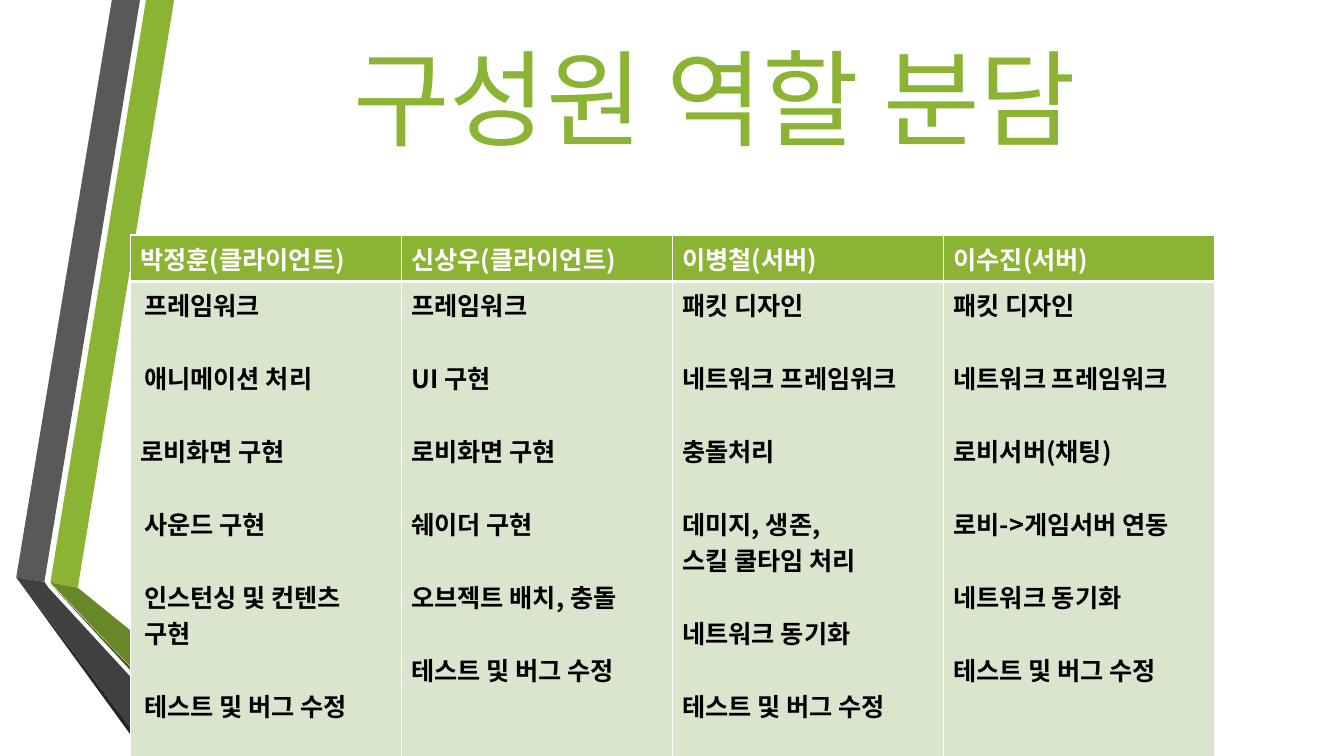
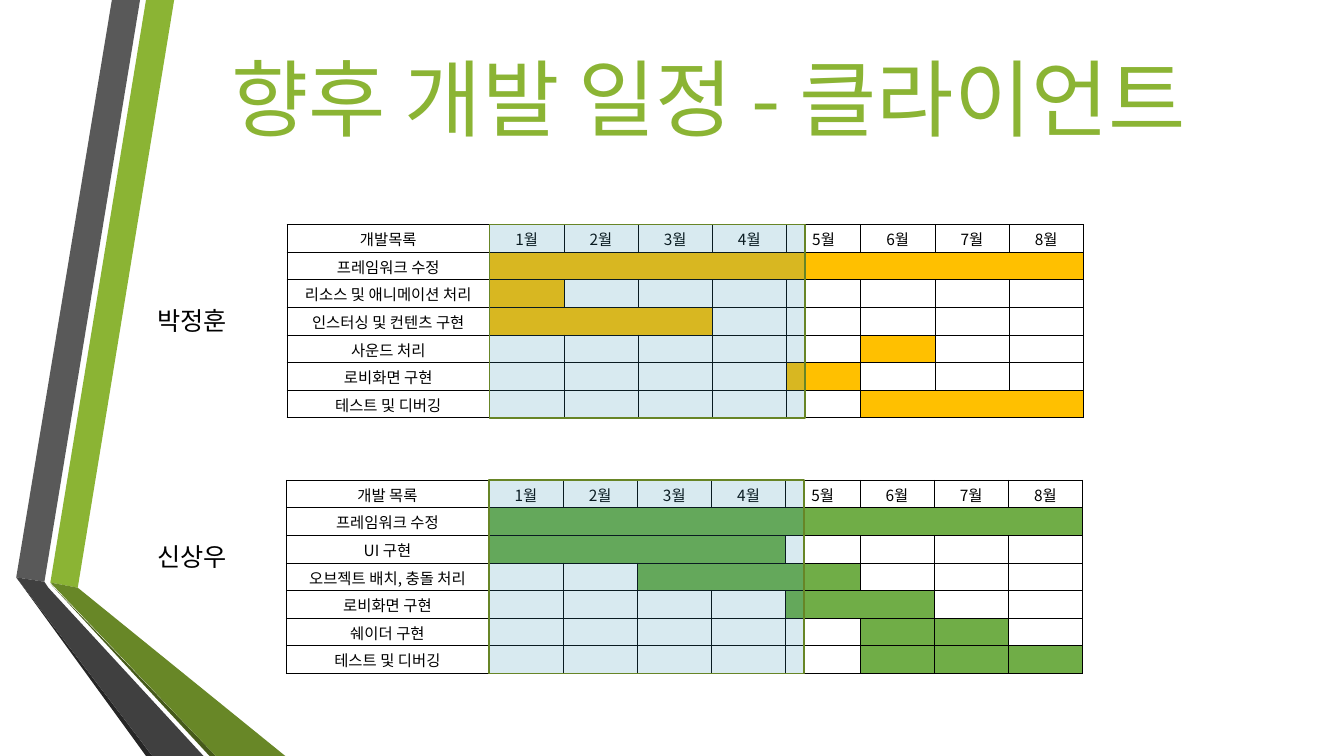
"""Build two slides: team roles and the client development schedule."""
import dataclasses

import lxml.etree
import pptx
import pptx.dml.color
import pptx.enum.shapes
import pptx.enum.text
import pptx.oxml.ns
import pptx.util

Cm = pptx.util.Cm
Pt = pptx.util.Pt
RGB = pptx.dml.color.RGBColor.from_string
qn = pptx.oxml.ns.qn
ALIGN = pptx.enum.text.PP_ALIGN
MIDDLE = pptx.enum.text.MSO_ANCHOR.MIDDLE


@dataclasses.dataclass(frozen=True)
class Theme:
    face: str = "Noto Sans CJK KR"
    label_face: str = "Calibri"
    green: str = "8BB434"
    pale_green: str = "DAE5CE"
    olive: str = "688727"
    dark_olive: str = "465A1A"
    gray: str = "595959"
    charcoal: str = "404040"
    near_black: str = "262626"
    black: str = "000000"
    white: str = "FFFFFF"
    amber_bar: str = "FFC000"
    green_bar: str = "70AD47"
    period_fill: str = "3594B4"
    period_line: str = "678526"
    body_size: int = 18
    grid_size: int = 11
    roles_title_size: int = 75
    schedule_title_size: int = 60
    item_gap: int = 26


theme = Theme()


def write(para, text, *, size, color=theme.black, face=theme.face, bold=False,
          align=ALIGN.LEFT, gap=0, indent=0):
    para.alignment = align
    para.space_before = Pt(gap)
    if indent:
        para._p.get_or_add_pPr().set("marL", str(Cm(indent)))
    if not text:
        lxml.etree.SubElement(para._p, qn("a:endParaRPr"), sz=str(size * 100))
        return
    for number, line in enumerate(text.split("\n")):
        if number:
            para.add_line_break()
        span = para.add_run()
        span.text = line
        span.font.size = Pt(size)
        span.font.bold = bold
        span.font.color.rgb = RGB(color)
        span.font.name = face
        lxml.etree.SubElement(span.font._element, qn("a:ea"), typeface=theme.face)


def paint_cell(cell, fill, line, left=1, right=1, top=1, bottom=1):
    properties = cell._tc.get_or_add_tcPr()
    for side, width in zip("LRTB", (left, right, top, bottom)):
        border = lxml.etree.SubElement(properties, qn(f"a:ln{side}"), w=str(Pt(width)))
        solid = lxml.etree.SubElement(border, qn("a:solidFill"))
        lxml.etree.SubElement(solid, qn("a:srgbClr"), val=line)
    cell.fill.solid()
    cell.fill.fore_color.rgb = RGB(fill)


deck = pptx.Presentation()
deck.slide_width = Cm(33.87)
deck.slide_height = Cm(19.05)
layout = deck.slide_layouts[5]
for placeholder in list(layout.placeholders)[1:]:
    placeholder.element.getparent().remove(placeholder.element)

titles = [
    ("구성원 역할 분담", theme.roles_title_size, 4.09, 27.84),
    ("향후 개발 일정 - 클라이언트", theme.schedule_title_size, 3.71, 28.3),
]
pages = []
for text, size, left, width in titles:
    page = deck.slides.add_slide(layout)
    title = page.shapes.title
    title.left, title.top, title.width, title.height = Cm(left), Cm(0), Cm(width), Cm(4.88)
    title.text_frame.word_wrap = True
    title.text_frame.auto_size = pptx.enum.text.MSO_AUTO_SIZE.NONE
    title.text_frame.vertical_anchor = MIDDLE
    write(title.text_frame.paragraphs[0], text, size=size, color=theme.green, align=ALIGN.CENTER)
    pages.append(page)
roles_page, schedule_page = pages

ribbons = [
    (theme.green, [(1.27, 14.68), (1.96, 14.81), (4.39, 0), (3.68, 0)]),
    (theme.gray, [(3.53, 0), (2.82, 0), (0.41, 14.55), (1.12, 14.66)]),
    (theme.near_black, [(0.41, 14.55), (3.68, 19.05), (3.84, 19.05)]),
    (theme.dark_olive, [(1.27, 14.71), (5.28, 19.05), (5.44, 19.05)]),
    (theme.olive, [(1.27, 14.68), (5.44, 19.05), (7.19, 19.05), (1.96, 14.81)]),
    (theme.charcoal, [(5.13, 19.05), (1.22, 14.81), (1.12, 14.66), (0.41, 14.55), (3.84, 19.05)]),
]
ribbon_shapes = []
for color, corners in ribbons:
    points = [(Cm(x), Cm(y)) for x, y in corners]
    outline = roles_page.shapes.build_freeform(*points[0])
    outline.add_line_segments(points[1:], close=True)
    ribbon = outline.convert_to_shape()
    ribbon.shadow.inherit = False
    ribbon.fill.solid()
    ribbon.fill.fore_color.rgb = RGB(color)
    ribbon.line.fill.background()
    ribbon_shapes.append(ribbon)
for ribbon in ribbon_shapes:
    layout.shapes.element.append(ribbon.element)

last_task = "테스트 및 버그 수정"
members = [
    ("박정훈(클라이언트)", ["프레임워크", "애니메이션 처리", "로비화면 구현", "사운드 구현",
                   "인스턴싱 및 컨텐츠 구현", last_task]),
    ("신상우(클라이언트)", ["프레임워크", "UI 구현", "로비화면 구현", "쉐이더 구현",
                   "오브젝트 배치, 충돌", last_task]),
    ("이병철(서버)", ["패킷 디자인", "네트워크 프레임워크", "충돌처리",
                "데미지, 생존,\n스킬 쿨타임 처리", "네트워크 동기화", last_task]),
    ("이수진(서버)", ["패킷 디자인", "네트워크 프레임워크", "로비서버(채팅)",
                "로비->게임서버 연동", "네트워크 동기화", last_task]),
]
header_height, body_height = 1.17, 11.98
roles = roles_page.shapes.add_table(
    2, len(members), Cm(3.28), Cm(5.92), Cm(27.33), Cm(header_height + body_height)).table
roles.first_row = roles.horz_banding = False
roles.rows[0].height = Cm(header_height)
roles.rows[1].height = Cm(body_height)
for column, (member, tasks) in enumerate(members):
    header, body = roles.cell(0, column), roles.cell(1, column)
    paint_cell(header, theme.green, theme.white, bottom=3)
    paint_cell(body, theme.pale_green, theme.white, top=3)
    write(header.text_frame.paragraphs[0], member, size=theme.body_size,
          color=theme.white, bold=True)
    for number, task in enumerate(tasks):
        frame = body.text_frame
        para = frame.add_paragraph() if number else frame.paragraphs[0]
        write(para, task, size=theme.body_size, bold=True,
              gap=theme.item_gap if number else 0,
              indent=0.1 if column == 0 and number != 2 else 0)

schedules = [
    ("박정훈", 7.57, 7.23, 5.66, theme.amber_bar, "개발목록", [
        ("프레임워크 수정", [(1, 8)]),
        ("리소스 및 애니메이션 처리", [(1, 1)]),
        ("인스터싱 및 컨텐츠 구현", [(1, 3)]),
        ("사운드 처리", [(6, 6)]),
        ("로비화면 구현", [(5, 5)]),
        ("테스트 및 디버깅", [(6, 8)]),
    ]),
    ("신상우", 13.51, 7.21, 12.1, theme.green_bar, "개발 목록", [
        ("프레임워크 수정", [(1, 8)]),
        ("UI 구현", [(1, 4)]),
        ("오브젝트 배치, 충돌 처리", [(3, 5)]),
        ("로비화면 구현", [(5, 6)]),
        ("쉐이더 구현", [(6, 6), (7, 7)]),
        ("테스트 및 디버깅", [(6, 6), (7, 7), (8, 8)]),
    ]),
]
months = [f"{month}월" for month in range(1, 9)]
task_width, month_width, grid_height = 5.11, 1.87, 4.87
for member, label_top, left, top, bar_color, heading, tasks in schedules:
    grid = schedule_page.shapes.add_table(
        len(tasks) + 1, len(months) + 1, Cm(left), Cm(top),
        Cm(task_width + month_width * len(months)), Cm(grid_height)).table
    grid.first_row = grid.horz_banding = False
    for row in grid.rows:
        row.height = Cm(grid_height / len(grid.rows))
    for number, column in enumerate(grid.columns):
        column.width = Cm(month_width if number else task_width)
    lines = [[heading] + months] + [[task] + [""] * len(months) for task, bars in tasks]
    for row, texts in enumerate(lines):
        for column, text in enumerate(texts):
            cell = grid.cell(row, column)
            cell.margin_left = cell.margin_right = cell.margin_top = Cm(0.03)
            cell.margin_bottom = Cm(0)
            cell.vertical_anchor = MIDDLE
            bars = tasks[row - 1][1] if row else []
            in_bar = any(first <= column <= last for first, last in bars)
            paint_cell(cell, bar_color if in_bar else theme.white, theme.black,
                       left=0.5, right=0.5, top=0.5, bottom=0.5)
            write(cell.text_frame.paragraphs[0], text, size=theme.grid_size, align=ALIGN.CENTER)
    for row, (task, bars) in enumerate(tasks, 1):
        for first, last in bars:
            if last > first:
                grid.cell(row, first).merge(grid.cell(row, last))

    period = schedule_page.shapes.add_shape(
        pptx.enum.shapes.MSO_SHAPE.RECTANGLE,
        Cm(left + task_width), Cm(top), Cm(7.95), Cm(grid_height))
    period.shadow.inherit = False
    period.fill.solid()
    period.fill.fore_color.rgb = RGB(theme.period_fill)
    tint = period.element.find(f".//{qn('a:solidFill')}/{qn('a:srgbClr')}")
    lxml.etree.SubElement(tint, qn("a:alpha"), val="19000")
    period.line.color.rgb = RGB(theme.period_line)
    period.line.width = Pt(1.25)

    label = schedule_page.shapes.add_textbox(Cm(3.71), Cm(label_top), Cm(2.64), Cm(1.02))
    label.text_frame.word_wrap = True
    label.text_frame.auto_size = pptx.enum.text.MSO_AUTO_SIZE.SHAPE_TO_FIT_TEXT
    write(label.text_frame.paragraphs[0], member, size=theme.body_size, face=theme.label_face)

deck.save("out.pptx")
